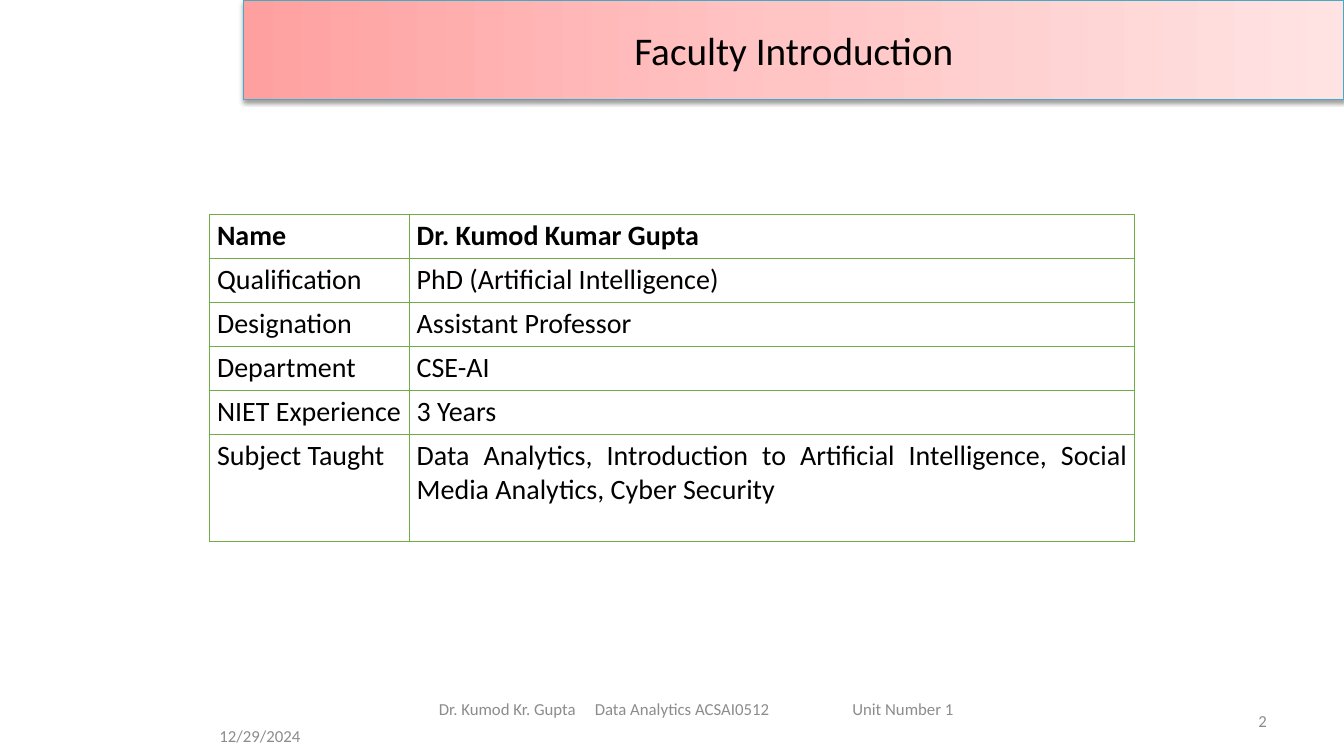
from lxml import etree
from pptx import Presentation
from pptx.dml.color import RGBColor
from pptx.enum import text
from pptx.oxml import ns
from pptx.util import Cm, Pt

HUES = {
    "ink": "000000", "grey": "8C8C8C", "edge": "46AAC5", "grid": "70AD47",
    "start": "FFA0A0", "mid": "FFC5C5", "end": "FFE3E3",
}
ALIGN = text.PP_ALIGN
ROWS = [
    ("Name", "Dr. Kumod Kumar Gupta"),
    ("Qualification", "PhD (Artificial Intelligence)"),
    ("Designation", "Assistant Professor"),
    ("Department", "CSE-AI"),
    ("NIET Experience", "3 Years"),
    ("Subject Taught", "Data Analytics, Introduction to Artificial Intelligence, "
                       "Social Media Analytics, Cyber Security"),
]


def tint(name):
    return RGBColor.from_string(HUES[name])


def node(root, tag, **attrs):
    item = etree.SubElement(root, ns.qn("a:" + tag))
    for key, value in attrs.items():
        item.set(key, str(value))
    return item


def style(para, size, hue="ink", bold=False, align=ALIGN.LEFT):
    para.alignment = align
    font = para.font
    font.name, font.size, font.bold = "Calibri", Pt(size), bold
    font.color.rgb = tint(hue)


def place(shape, box):
    shape.left, shape.top, shape.width, shape.height = map(Cm, box)


def add_title(slide, box):
    title = slide.shapes.title
    place(title, box)
    title.fill.gradient()
    title.fill.gradient_angle = 0
    stops = next(title.element.iter(ns.qn("a:gsLst")))
    stops.clear()
    for spot, hue in ((0, "start"), (50, "mid"), (100, "end")):
        node(node(stops, "gs", pos=spot * 1000), "srgbClr", val=HUES[hue])
    title.line.color.rgb = tint("edge")
    title.line.width = Pt(0.75)
    title.shadow.inherit = False
    glow = next(title.element.iter(ns.qn("a:effectLst")))
    drop = node(glow, "outerShdw", blurRad=Pt(3.1), dist=Pt(1.6),
                dir=5400000, rotWithShape=0)
    node(node(drop, "srgbClr", val=HUES["ink"]), "alpha", val=38000)
    frame = title.text_frame
    frame.text = "Faculty Introduction"
    frame.auto_size = text.MSO_AUTO_SIZE.NONE
    frame.vertical_anchor = text.MSO_ANCHOR.MIDDLE
    style(frame.paragraphs[0], 28, align=ALIGN.CENTER)


def add_edges(cell, row):
    props = cell._tc.get_or_add_tcPr()
    heavy = {0: "lnB", 1: "lnT"}.get(row)
    for side in ("lnL", "lnR", "lnT", "lnB"):
        line = node(props, side, w=Pt(1.13 if side == heavy else 0.75))
        node(node(line, "solidFill"), "srgbClr", val=HUES["grid"])


def add_grid(slide, box):
    grid = slide.shapes.add_table(len(ROWS), 2, *map(Cm, box)).table
    grid.first_row = grid.horz_banding = False
    left, high = 5.03, 1.11
    grid.columns[0].width = Cm(left)
    grid.columns[1].width = Cm(box[2] - left)
    last = len(ROWS) - 1
    for r, pair in enumerate(ROWS):
        grid.rows[r].height = Cm(high if r < last else box[3] - high * last)
        for c, words in enumerate(pair):
            cell = grid.cell(r, c)
            cell.text = words
            cell.margin_left = cell.margin_right = Cm(0.19)
            cell.margin_top = cell.margin_bottom = Cm(0.1)
            add_edges(cell, r)
            cell.fill.background()
            align = ALIGN.JUSTIFY if (r, c) == (last, 1) else ALIGN.LEFT
            style(cell.text_frame.paragraphs[0], 20, bold=r == 0, align=align)


def add_note(slide, box, words, align=ALIGN.LEFT, inset=0.25, tabs=()):
    frame = slide.shapes.add_textbox(*map(Cm, box)).text_frame
    frame.word_wrap = True
    frame.vertical_anchor = text.MSO_ANCHOR.MIDDLE
    frame.margin_left = Cm(inset)
    para = frame.paragraphs[0]
    para.text = words
    if tabs:
        stops = node(para._p.get_or_add_pPr(), "tabLst")
        for spot in tabs:
            node(stops, "tab", pos=Cm(spot), algn="l")
    style(para, 12, "grey", align=align)


def main():
    deck = Presentation()
    deck.slide_width, deck.slide_height = Cm(33.87), Cm(19.05)
    slide = deck.slides.add_slide(deck.slide_layouts[5])
    add_title(slide, (6.14, 0, 27.73, 2.52))
    add_note(slide, (5.28, 18.03, 5.92, 1.01), "12/29/2024")
    add_note(slide, (24.28, 17.66, 7.9, 1.01), "2", ALIGN.RIGHT)
    add_note(slide, (10.59, 17.36, 13.97, 1.01),
             "Dr. Kumod Kr. Gupta\tData Analytics ACSAI0512\tUnit Number 1",
             inset=0.47, tabs=(3.93, 10.42))
    add_grid(slide, (5.28, 5.41, 23.32, 8.23))
    deck.save("out.pptx")


if __name__ == "__main__":
    main()
